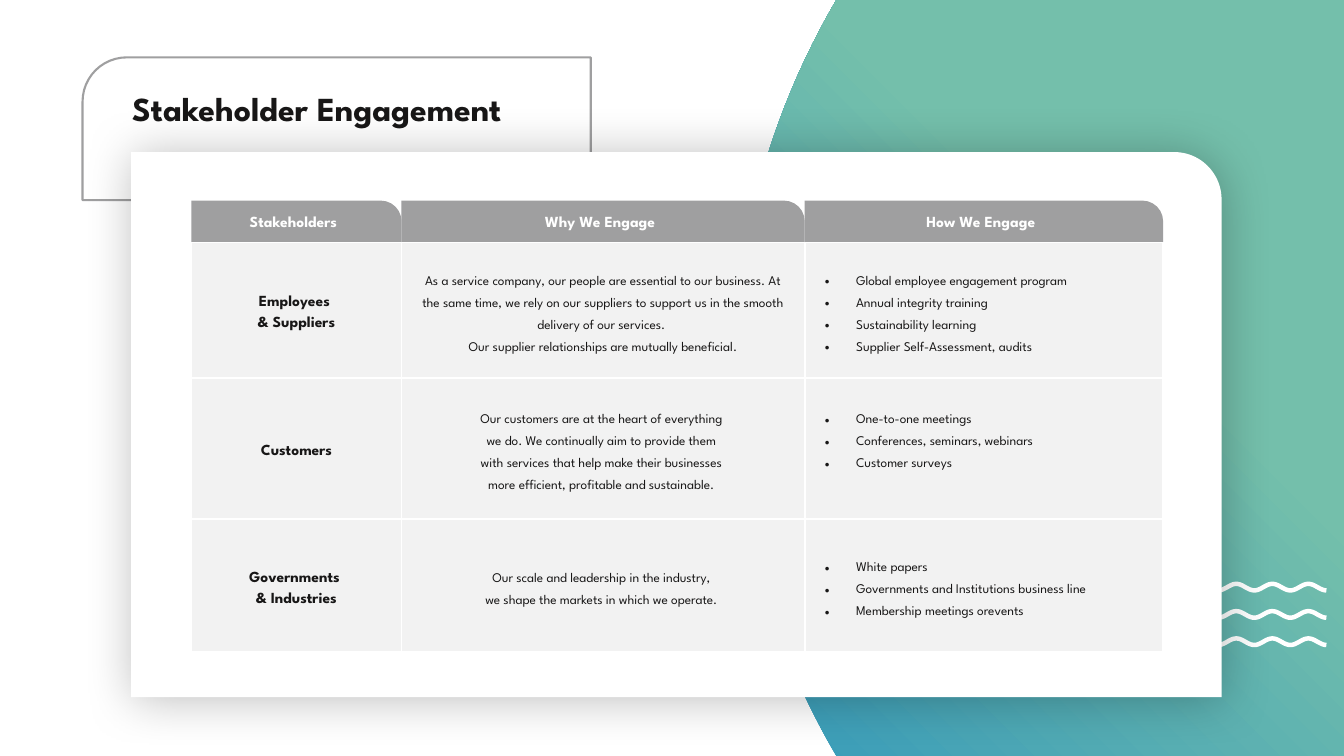
import math
from dataclasses import dataclass

import pptx
import pptx.dml.color
import pptx.enum.shapes
import pptx.enum.text
import pptx.oxml
import pptx.oxml.ns
import pptx.util

Pt = pptx.util.Pt
Shape = pptx.enum.shapes.MSO_SHAPE
Align = pptx.enum.text.PP_ALIGN
Anchor = pptx.enum.text.MSO_ANCHOR
qn = pptx.oxml.ns.qn
SPACE = pptx.oxml.ns.nsdecls("a")
FONT = "League Spartan"
COLORS = {
    "ink": "181717", "gray": "9F9FA0", "pale": "F2F2F2",
    "white": "FFFFFF", "green": "74BFAB", "blue": "369ABA", "black": "000000",
}
LEADING = 15.8


@dataclass
class Box:
    left: float
    top: float
    width: float
    height: float

    def place(self) -> tuple:
        return Pt(self.left), Pt(self.top), Pt(self.width), Pt(self.height)


@dataclass
class Row:
    height: float
    group: list[str]
    why: list[str]
    how: list[str]
    lift: float = 0


HEADS = ["Stakeholders", "Why We Engage", "How We Engage"]
WIDTHS = [150, 288, 256]
GRID = Box(136.8, 172.8, sum(WIDTHS), 293)
HEAD_TOP = 143.3
ROWS = [
    Row(97.2, ["Employees ", "& Suppliers"],
        ["As a service company, our people are essential to our business. "
         "At the same time, we rely on our suppliers to support us in the "
         "smooth delivery of our services. ",
         "Our supplier relationships are mutually beneficial."],
        ["Global employee engagement program", "Annual integrity training",
         "Sustainability learning", "Supplier Self-Assessment, audits"]),
    Row(100.8, ["Customers"],
        ["Our customers are at the heart of everything ",
         "we do. We continually aim to provide them ",
         "with services that help make their businesses ",
         "more efficient, profitable and sustainable. "],
        ["One-to-one meetings", "Conferences, seminars, webinars",
         "Customer surveys"], lift=LEADING),
    Row(95, ["Governments ", "& Industries"],
        ["Our scale and leadership in the industry, ",
         "we shape the markets in which we operate. "],
        ["White papers", "Governments and Institutions business line",
         "Membership meetings orevents"]),
]


def color(name: str):
    return pptx.dml.color.RGBColor.from_string(COLORS[name])


def node(text: str):
    return pptx.oxml.parse_xml(text.replace(">", f" {SPACE}>", 1)
                               if "/>" not in text.split(">", 1)[0] + ">"
                               else text.replace("/>", f" {SPACE}/>", 1))


def write(frame, lines: list[str], *, size: float = 11, bold: bool = False,
          ink: str = "ink", align=Align.CENTER, space=1.0,
          bullet: bool = False) -> None:
    frame.word_wrap = True
    for i, line in enumerate(lines):
        para = frame.add_paragraph() if i else frame.paragraphs[0]
        para.alignment = align
        para.line_spacing = space
        run = para.add_run()
        run.text = line
        run.font.name = FONT
        run.font.size = Pt(size)
        run.font.bold = bold
        run.font.color.rgb = color(ink)
        if bullet:
            props = para._p.get_or_add_pPr()
            props.set("marL", str(Pt(22.3)))
            props.set("indent", str(-Pt(22.3)))
            props.append(node('<a:buFont typeface="Arial"/>'))
            props.append(node('<a:buChar char="•"/>'))


def card(slide, box: Box, curve: float, fill: str | None = None):
    shape = slide.shapes.add_shape(Shape.ROUND_1_RECTANGLE, *box.place())
    shape.adjustments[0] = curve
    shape.shadow.inherit = False
    if fill:
        shape.fill.solid()
        shape.fill.fore_color.rgb = color(fill)
        shape.line.fill.background()
    else:
        shape.fill.background()
    return shape


def trace(slide, spots: list[tuple[float, float]], close: bool):
    spots = [(Pt(x), Pt(y)) for x, y in spots]
    pen = slide.shapes.build_freeform(*spots[0])
    pen.add_line_segments(spots[1:], close=close)
    shape = pen.convert_to_shape()
    shape.shadow.inherit = False
    return shape


def draw_disc(slide) -> None:
    mid_x, mid_y, size = 1057, 270, 533
    turn = math.asin(mid_y / size)
    arc = [(mid_x - size * math.cos(a), mid_y - size * math.sin(a))
           for a in (turn * (1 - i / 40) for i in range(81))]
    disc = trace(slide, [(960, 0), *arc, (960, 540)], True)
    disc.line.fill.background()
    disc.fill.background()
    props = disc._element.spPr
    blend = node(
        '<a:gradFill rotWithShape="1"><a:gsLst>'
        f'<a:gs pos="38000"><a:srgbClr val="{COLORS["green"]}"/></a:gs>'
        f'<a:gs pos="100000"><a:srgbClr val="{COLORS["blue"]}"/></a:gs>'
        '</a:gsLst><a:path path="circle">'
        '<a:fillToRect l="100000" b="100000"/></a:path></a:gradFill>')
    props.replace(props.find(qn("a:noFill")), blend)


def draw_wave(slide, mid: float) -> None:
    left, length, swell, steps = 831.6, 25.75, 2.35, 90
    spots = [(left + length * i / 20, mid - swell * math.cos(math.pi * i / 10))
             for i in range(steps + 1)]
    wave = trace(slide, spots, False)
    wave.fill.background()
    wave.line.color.rgb = color("white")
    wave.line.width = Pt(3.2)


def draw_panel(slide) -> None:
    panel = card(slide, Box(93.6, 108.6, 779, 389.4), 0.087, "white")
    panel._element.spPr.find(qn("a:effectLst")).append(node(
        f'<a:outerShdw blurRad="{Pt(35)}" dist="{Pt(3)}" dir="2700000" '
        f'algn="tl" rotWithShape="0"><a:srgbClr val="{COLORS["black"]}">'
        '<a:alpha val="25000"/></a:srgbClr></a:outerShdw>'))


def fill_cell(cell, lines: list[str], pads: tuple, **form) -> None:
    cell.fill.solid()
    cell.fill.fore_color.rgb = color("pale")
    cell.vertical_anchor = Anchor.MIDDLE
    (cell.margin_left, cell.margin_top,
     cell.margin_right, cell.margin_bottom) = map(Pt, pads)
    write(cell.text_frame, lines, **form)
    props = cell._tc.get_or_add_tcPr()
    for i, side in enumerate("LRTB"):
        props.insert(i, node(
            f'<a:ln{side} w="{Pt(1.5)}"><a:solidFill><a:srgbClr '
            f'val="{COLORS["white"]}"/></a:solidFill></a:ln{side}>'))


def draw_grid(slide) -> None:
    table = slide.shapes.add_table(len(ROWS), len(WIDTHS), *GRID.place()).table
    table.first_row = table.horz_banding = False
    for col, width in zip(table.columns, WIDTHS):
        col.width = Pt(width)
    for i, row in enumerate(ROWS):
        table.rows[i].height = Pt(row.height)
        fill_cell(table.cell(i, 0), row.group, (0, 0, 0, 0), bold=True, space=1.5)
        fill_cell(table.cell(i, 1), row.why, (14.4,) * 4, size=9.5, space=Pt(LEADING))
        fill_cell(table.cell(i, 2), row.how, (14.4, 0, 14.4, row.lift), size=9.5,
                  space=Pt(LEADING), align=Align.LEFT, bullet=True)
    for i, head in enumerate(HEADS):
        box = Box(GRID.left + sum(WIDTHS[:i]), HEAD_TOP, WIDTHS[i], GRID.top - HEAD_TOP)
        tab = card(slide, box, 0.5, "gray")
        tab.text_frame.vertical_anchor = Anchor.MIDDLE
        write(tab.text_frame, [head], bold=True, ink="white")


def main() -> None:
    deck = pptx.Presentation()
    deck.slide_width, deck.slide_height = Pt(960), Pt(540)
    slide = deck.slides.add_slide(deck.slide_layouts[5])
    frame = card(slide, Box(59, 41, 363, 102), 0.31)
    frame._element.spPr.find(qn("a:xfrm")).set("flipH", "1")
    frame.line.color.rgb = color("gray")
    frame.line.width = Pt(1.5)
    draw_disc(slide)
    for i in range(3):
        draw_wave(slide, 419.4 + 19.5 * i)
    title = slide.shapes.title
    title.left, title.top, title.width, title.height = Box(92.2, 60.5, 314.6, 33).place()
    text = title.text_frame
    text.margin_left = text.margin_top = text.margin_right = text.margin_bottom = Pt(2.2)
    text.vertical_anchor = Anchor.MIDDLE
    write(text, ["Stakeholder Engagement"], size=24, bold=True, align=Align.LEFT)
    draw_panel(slide)
    draw_grid(slide)
    deck.save("out.pptx")


if __name__ == "__main__":
    main()
